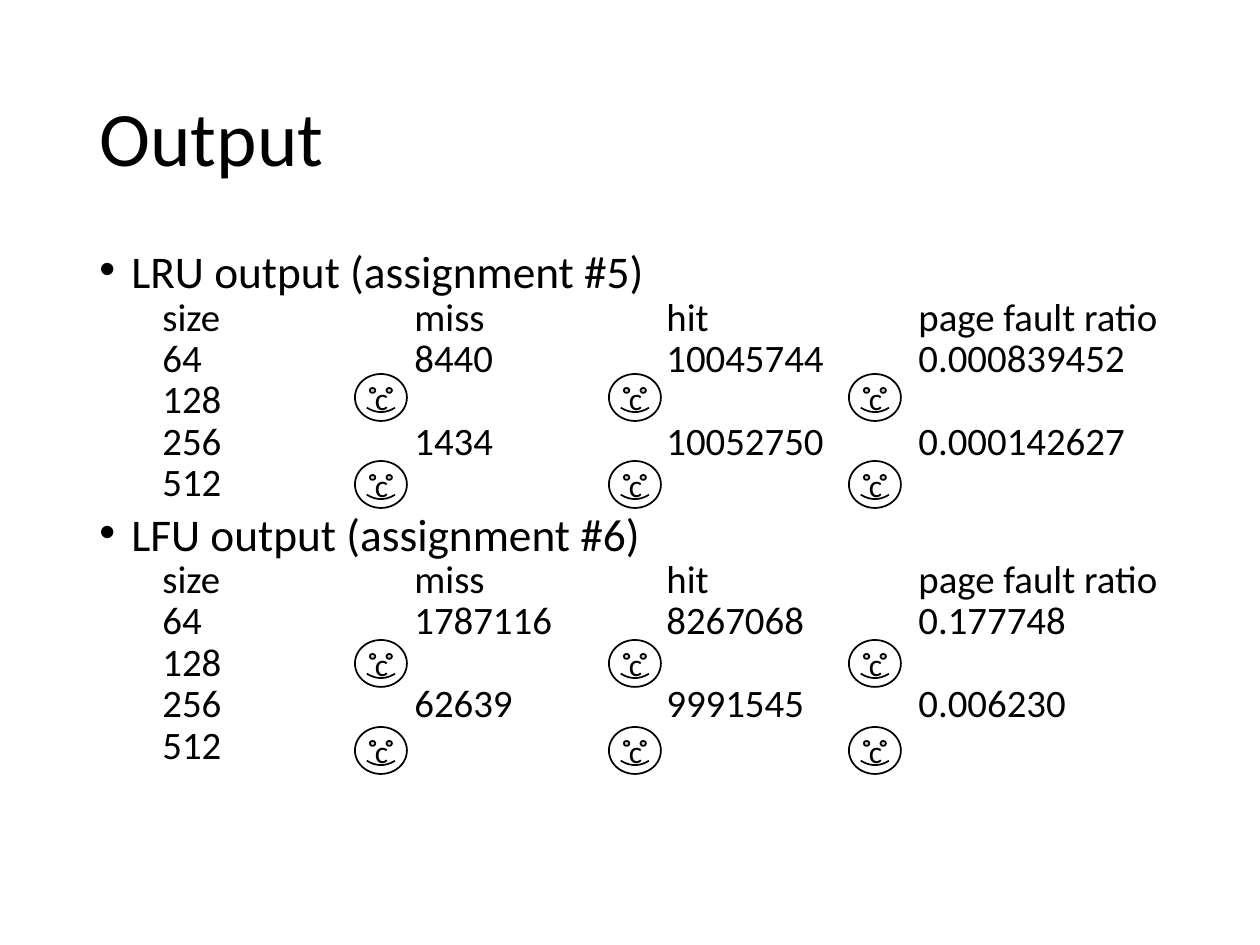
from dataclasses import dataclass
from itertools import product

from lxml.etree import SubElement
from pptx import Presentation
from pptx.dml.color import RGBColor
from pptx.enum.shapes import MSO_SHAPE
from pptx.enum.text import MSO_ANCHOR, PP_ALIGN
from pptx.oxml.ns import qn
from pptx.util import Emu, Pt

EMU_PER_PIXEL = 914400 // 126
COLORS = {"text": "000000", "face": "FFFFFF"}
FONT = "Calibri"
TAB_WIDTH = 126


@dataclass(frozen=True)
class LineStyle:
    size: float
    space_before: float
    margin: int
    indent: int
    bullet: str = ""


@dataclass(frozen=True)
class Section:
    heading: str
    rows: tuple[str, ...]
    face_top: int


HEADING = LineStyle(25.9, 10, 32, -32, "•")
ROW = LineStyle(22.2, 5, 63, 0)
COLUMN_TITLES = "size\t\tmiss\t\thit\t\tpage fault ratio"

SECTIONS = (
    Section("LRU output (assignment #5)", (
        COLUMN_TITLES,
        "64\t\t8440\t\t10045744\t0.000839452",
        "128",
        "256\t\t1434\t\t10052750\t0.000142627",
        "512",
    ), 374),
    Section("LFU output (assignment #6)", (
        COLUMN_TITLES,
        "64\t\t1787116\t8267068\t0.177748",
        "128",
        "256\t\t62639\t\t9991545\t0.006230",
        "512",
    ), 640),
)
FACE_LEFTS = (355, 609, 849)
FACE_ROW_OFFSETS = (0, 87)
FACE_WIDTH, FACE_HEIGHT = 52, 47


def px(pixels: int) -> Emu:
    return Emu(pixels * EMU_PER_PIXEL)


def color(name: str) -> RGBColor:
    return RGBColor.from_string(COLORS[name])


def add_run(paragraph, text: str, size: float) -> None:
    run = paragraph.add_run()
    run.text = text
    run.font.name = FONT
    run.font.size = Pt(size)
    run.font.color.rgb = color("text")


def add_line(paragraph, text: str, style: LineStyle) -> None:
    paragraph.line_spacing = 0.7
    paragraph.space_before = Pt(style.space_before)
    properties = paragraph._p.get_or_add_pPr()
    properties.set("marL", str(px(style.margin)))
    properties.set("indent", str(px(style.indent)))
    properties.set("defTabSz", str(px(TAB_WIDTH)))
    if style.bullet:
        SubElement(properties, qn("a:buFont")).set("typeface", "Arial")
        SubElement(properties, qn("a:buChar")).set("char", style.bullet)
    add_run(paragraph, text, style.size)


def add_face(slide, left: int, top: int) -> None:
    shape = slide.shapes.add_shape(
        MSO_SHAPE.SMILEY_FACE, px(left), px(top), px(FACE_WIDTH), px(FACE_HEIGHT))
    shape.shadow.inherit = False
    shape.fill.solid()
    shape.fill.fore_color.rgb = color("face")
    shape.line.color.rgb = color("text")
    shape.line.width = Pt(1)
    shape.text_frame.vertical_anchor = MSO_ANCHOR.MIDDLE
    paragraph = shape.text_frame.paragraphs[0]
    paragraph.alignment = PP_ALIGN.CENTER
    add_run(paragraph, "c", 18)


presentation = Presentation()
presentation.slide_width, presentation.slide_height = px(1260), px(945)
slide = presentation.slides.add_slide(presentation.slide_layouts[5])

# Title
title = slide.shapes.title
title.left, title.top, title.width, title.height = px(87), px(50), px(1086), px(183)
title.text_frame.vertical_anchor = MSO_ANCHOR.MIDDLE
title_paragraph = title.text_frame.paragraphs[0]
title_paragraph.alignment = PP_ALIGN.LEFT
title_paragraph.line_spacing = 0.9
add_run(title_paragraph, "Output", 44)

# Both listings, aligned on one-inch tab stops
body = slide.shapes.add_textbox(px(87), px(252), px(1086), px(600))
frame = body.text_frame
frame.word_wrap = True
lines = [
    line
    for section in SECTIONS
    for line in [(section.heading, HEADING), *((row, ROW) for row in section.rows)]
]
for index, (text, style) in enumerate(lines):
    paragraph = frame.add_paragraph() if index else frame.paragraphs[0]
    add_line(paragraph, text, style)

# Faces in place of the undisclosed values
for section, offset, left in product(SECTIONS, FACE_ROW_OFFSETS, FACE_LEFTS):
    add_face(slide, left, section.face_top + offset)

presentation.save("out.pptx")
